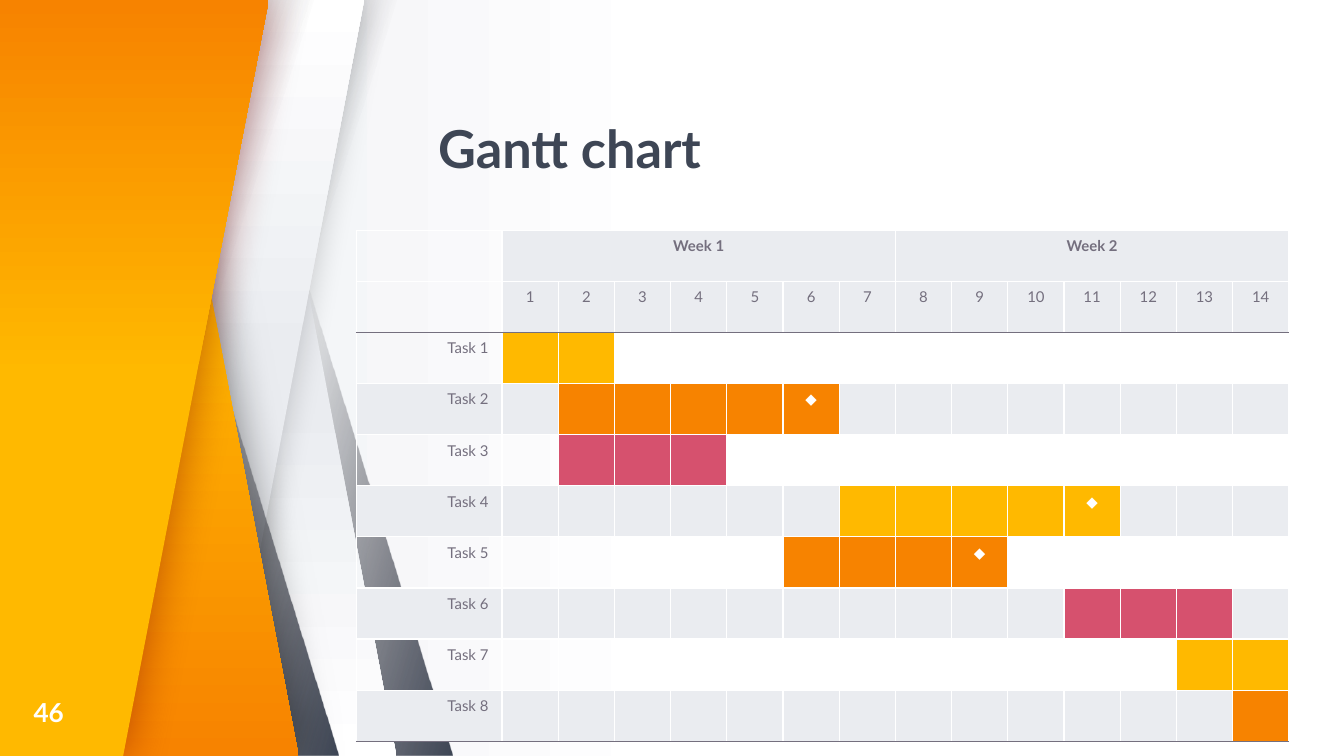
from lxml.etree import SubElement
from pptx import Presentation
from pptx.dml.color import RGBColor
from pptx.enum.shapes import MSO_SHAPE
from pptx.enum.text import MSO_ANCHOR, MSO_AUTO_SIZE, PP_ALIGN
from pptx.oxml.ns import qn
from pptx.util import Pt

WIDTH, HEIGHT = 720, 405
WHITE, PALE, SLATE, INK = "FFFFFF", "EAECF0", "3E4655", "27252C"
GRAY, YELLOW, ORANGE, PINK = "746F7E", "FFB900", "F78300", "D6516E"

DAYS, DAYS_PER_WEEK = 14, 7
# first day, last day, colour, day of the milestone
TASKS = [
    (1, 2, YELLOW, None),
    (2, 6, ORANGE, 6),
    (2, 4, PINK, None),
    (7, 11, YELLOW, 11),
    (6, 9, ORANGE, 9),
    (11, 13, PINK, None),
    (13, 14, YELLOW, None),
    (14, 14, ORANGE, None),
]


def rgb(color):
    return RGBColor.from_string(color)


class Deck:
    font = "Lato"

    def __init__(self, slide):
        self.s = slide

    def gradient(self, fill, stops, angle):
        """Two-stop gradient; the angle runs clockwise."""
        fill.gradient()
        fill.gradient_angle = (360 - angle) % 360
        for stop, (position, color) in zip(fill.gradient_stops, stops):
            stop.position = position / 100
            stop.color.rgb = rgb(color)

    def finish(self, sp, stops, angle, shadow):
        """Fill a band, drop its outline and give it (colour, opacity, blur)."""
        self.gradient(sp.fill, stops, angle)
        sp.line.fill.background()
        sp.shadow.inherit = False
        if shadow:
            color, opacity, blur = shadow
            effects = sp._element.spPr.find(qn("a:effectLst"))
            outer = SubElement(effects, qn("a:outerShdw"), blurRad=str(Pt(blur)),
                               dist="0", dir="0", algn="ctr", rotWithShape="0")
            clr = SubElement(outer, qn("a:srgbClr"), val=color)
            SubElement(clr, qn("a:alpha"), val=str(opacity * 1000))

    def band(self, x, adj, flip, stops, angle, shadow=None):
        sp = self.s.shapes.add_shape(MSO_SHAPE.PARALLELOGRAM, Pt(x), 0, Pt(165.6), Pt(HEIGHT))
        sp.adjustments[0] = adj
        if flip:
            sp._element.spPr.xfrm.set("flipH", "1")
        self.finish(sp, stops, angle, shadow)
        return sp

    def dark_band(self, x, flip):
        """Slanted band that fades from clear to slate."""
        start, angle = (45, 164) if flip else (44, 198)
        sp = self.band(x, 0.753, flip, [(start, INK), (100, SLATE)], angle)
        first = next(sp._element.spPr.iter(qn("a:srgbClr")))
        SubElement(first, qn("a:alpha"), val="0")

    def light_band(self, x, flip, angle, shadow=None):
        self.band(x, 0.463, flip, [(53, PALE), (100, WHITE)], angle, shadow)

    def edge_panel(self, top, bottom, start, angle, shadow_color):
        """Panel on the left edge, with its width at the top and the bottom."""
        builder = self.s.shapes.build_freeform(0, 0, scale=Pt(1))
        builder.add_line_segments([(0, HEIGHT), (bottom, HEIGHT), (top, 0)], close=True)
        self.finish(builder.convert_to_shape(), [(start, YELLOW), (100, ORANGE)],
                    angle, (shadow_color, 50, 24.7))

    def add_text(self, tf, text, size, color, bold=False, align=PP_ALIGN.LEFT):
        p = tf.paragraphs[0]
        p.alignment = align
        r = p.add_run()
        r.text = text
        for name, value in dict(name=self.font, size=Pt(size), bold=bold).items():
            setattr(r.font, name, value)
        r.font.color.rgb = rgb(color)
        return p

    def frame(self, sp, anchor):
        tf = sp.text_frame
        style = dict(margin_left=0, margin_top=0, margin_right=0, margin_bottom=0,
                     word_wrap=True, auto_size=MSO_AUTO_SIZE.NONE, vertical_anchor=anchor)
        for name, value in style.items():
            setattr(tf, name, value)
        return tf

    def title(self, text, x, y, w, h):
        sp = self.s.shapes.title
        sp.left, sp.top, sp.width, sp.height = Pt(x), Pt(y), Pt(w), Pt(h)
        p = self.add_text(self.frame(sp, MSO_ANCHOR.BOTTOM), text, 28, SLATE, True)
        p.line_spacing = 0.9

    def label(self, text, x, y, w, h):
        sp = self.s.shapes.add_textbox(Pt(x), Pt(y), Pt(w), Pt(h))
        self.add_text(self.frame(sp, MSO_ANCHOR.MIDDLE), text, 14, WHITE, True)

    def cell(self, cell, text="", fill=None, top=WHITE, bottom=WHITE,
             color=GRAY, bold=False, align=PP_ALIGN.CENTER):
        tc_pr = cell._tc.get_or_add_tcPr()
        for side, line in zip("LRTB", (WHITE, WHITE, top, bottom)):
            ln = SubElement(tc_pr, qn(f"a:ln{side}"), w=str(Pt(0.75)))
            SubElement(SubElement(ln, qn("a:solidFill")), qn("a:srgbClr"), val=line)
        if fill:
            cell.fill.solid()
            cell.fill.fore_color.rgb = rgb(fill)
        else:
            cell.fill.background()
        if text:
            self.add_text(cell.text_frame, text, 8, color, bold, align)
        else:
            SubElement(cell.text_frame.paragraphs[0]._p, qn("a:endParaRPr"), sz="800")

    def gantt(self, x, y, label_width, day_width, row_height):
        rows = len(TASKS) + 2
        shape = self.s.shapes.add_table(rows, DAYS + 1, Pt(x), Pt(y),
                                        Pt(label_width + DAYS * day_width),
                                        Pt(rows * row_height))
        table = shape.table
        table.first_row = table.horz_banding = False
        for row in table.rows:
            row.height = Pt(row_height)
        for i, column in enumerate(table.columns):
            column.width = Pt(day_width if i else label_width)

        self.cell(table.cell(0, 0))
        self.cell(table.cell(1, 0), bottom=GRAY)
        for day in range(1, DAYS + 1):
            week, offset = divmod(day - 1, DAYS_PER_WEEK)
            heading = "" if offset else f"Week {week + 1}"
            self.cell(table.cell(0, day), heading, PALE, bold=True)
            self.cell(table.cell(1, day), str(day), PALE, bottom=GRAY)
        for first in range(1, DAYS, DAYS_PER_WEEK):
            table.cell(0, first).merge(table.cell(0, first + DAYS_PER_WEEK - 1))

        for n, (start, end, color, milestone) in enumerate(TASKS, 1):
            base = None if n % 2 else PALE
            edges = dict(top=GRAY if n == 1 else WHITE,
                         bottom=GRAY if n == len(TASKS) else WHITE)
            self.cell(table.cell(n + 1, 0), f"Task {n}", base, align=PP_ALIGN.RIGHT, **edges)
            for day in range(1, DAYS + 1):
                self.cell(table.cell(n + 1, day), "◆" if day == milestone else "",
                          color if start <= day <= end else base, color=WHITE, **edges)


def main():
    prs = Presentation()
    prs.slide_width, prs.slide_height = Pt(WIDTH), Pt(HEIGHT)
    deck = Deck(prs.slides.add_slide(prs.slide_layouts[5]))
    deck.gradient(deck.s.background.fill, [(50, WHITE), (100, PALE)], 180)

    deck.dark_band(77, True)
    deck.light_band(46.8, True, 90)
    deck.dark_band(46.8, False)
    deck.light_band(29.5, False, 270, ("000000", 20, 16.9))
    deck.dark_band(15.8, True)
    deck.edge_panel(82.8, 159.8, 37, 90, "000000")
    deck.dark_band(2.2, False)
    deck.edge_panel(144, 66.2, 50, 270, "7E0808")

    deck.title("Gantt chart", 234.7, 65.5, 430, 31)
    deck.label("46", 18, 371.5, 28.8, 19.5)
    deck.gantt(191, 123.3, 78, 30.13, 27.4)
    prs.save("out.pptx")


if __name__ == "__main__":
    main()
